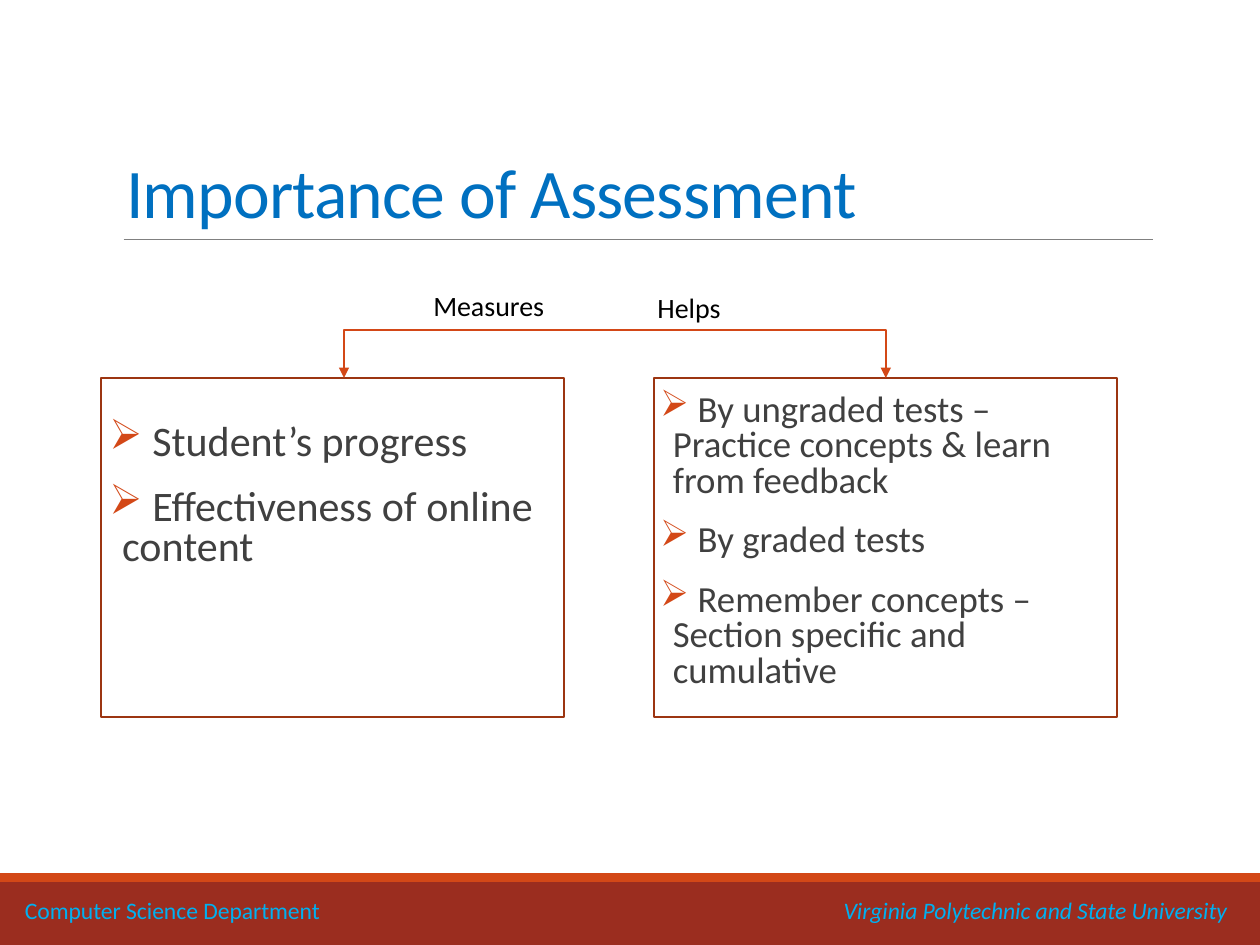
from lxml.etree import SubElement
from pptx import Presentation
from pptx.dml.color import RGBColor
from pptx.enum.shapes import MSO_CONNECTOR as Connector, MSO_SHAPE as Shape
from pptx.enum.text import MSO_ANCHOR as Anchor, MSO_AUTO_SIZE as AutoSize, PP_ALIGN as Align
from pptx.oxml.ns import qn
from pptx.util import Pt

COLORS = {
    "title": "0070C0", "body": "404040", "label": "000000", "footer": "00B0F0",
    "band": "9B2D1F", "accent": "D34817", "frame": "9C3511", "rule": "808080",
}
FRAME_TOP = 216
MEASURES = ["Student’s progress", "Effectiveness of online content"]
HELPS = [
    "By ungraded tests – Practice concepts & learn from feedback",
    "By graded tests",
    "Remember concepts – Section specific and cumulative",
]


def color(name):
    """Return the named palette colour."""
    return RGBColor.from_string(COLORS[name])


def apply(target, formats):
    """Set each attribute of the target from a dict of values."""
    for name, value in formats.items():
        setattr(target, name, value)


def add_run(paragraph, text, size, color_name, **formats):
    """Append a formatted run to a paragraph."""
    run = paragraph.add_run()
    run.text = text
    apply(run.font, {"name": "Calibri", "size": Pt(size), **formats})
    run.font.color.rgb = color(color_name)
    return run


def add_rectangle(slide, box, fill=None, line=None):
    """Draw a rectangle with an optional fill and outline."""
    shape = slide.shapes.add_shape(Shape.RECTANGLE, *map(Pt, box))
    shape.shadow.inherit = False
    if fill:
        shape.fill.solid()
        shape.fill.fore_color.rgb = color(fill)
    else:
        shape.fill.background()
    if line:
        shape.line.color.rgb = color(line)
        shape.line.width = Pt(1.25)
    else:
        shape.line.fill.background()


def add_line(slide, kind, points, color_name, width):
    """Draw a connector without a shadow."""
    connector = slide.shapes.add_connector(kind, *map(Pt, points))
    connector.line.color.rgb = color(color_name)
    connector.line.width = Pt(width)
    SubElement(connector._element.spPr, qn("a:effectLst"))
    return connector


def add_bent_arrow(slide, points):
    """Draw an arrow that runs sideways and then down."""
    connector = add_line(slide, Connector.ELBOW, points, "accent", 1)
    properties = connector._element.spPr
    properties.find(qn("a:prstGeom")).set("prst", "bentConnector2")
    SubElement(properties.find(qn("a:ln")), qn("a:tailEnd"), type="triangle")


def add_text_box(slide, box, wrap=True):
    """Add an empty text box and return its text frame."""
    frame = slide.shapes.add_textbox(*map(Pt, box)).text_frame
    frame.word_wrap = wrap
    return frame


def add_label(slide, box, text, wrap):
    """Add a short label above an arrow."""
    frame = add_text_box(slide, box, wrap)
    add_run(frame.paragraphs[0], text, 16, "label")


def add_bullets(slide, box, items, size):
    """Add a list with arrow bullets."""
    frame = add_text_box(slide, box)
    apply(frame, {"margin_left": 0, "margin_right": 0})
    for index, item in enumerate(items):
        paragraph = frame.add_paragraph() if index else frame.paragraphs[0]
        apply(paragraph, {"line_spacing": 0.8, "space_before": Pt(12 if index else 0),
                          "space_after": Pt(2)})
        properties = paragraph._p.get_or_add_pPr()
        apply_indent = {"marL": Pt(7.2), "indent": Pt(-7.2)}
        for name, value in apply_indent.items():
            properties.set(name, str(value))
        bullet_color = SubElement(properties, qn("a:buClr"))
        SubElement(bullet_color, qn("a:srgbClr"), val=COLORS["accent"])
        SubElement(properties, qn("a:buChar"), char="➢")
        add_run(paragraph, " " + item, size, "body")


def format_title(slide, text):
    """Place and format the title placeholder."""
    title = slide.shapes.title
    apply(title, {"left": Pt(64.8), "top": Pt(22.3), "width": Pt(594), "height": Pt(114.5)})
    frame = title.text_frame
    apply(frame, {"vertical_anchor": Anchor.BOTTOM, "auto_size": AutoSize.NONE, "word_wrap": True})
    paragraph = frame.paragraphs[0]
    apply(paragraph, {"alignment": Align.LEFT, "line_spacing": 0.85})
    run = add_run(paragraph, text, 39.8, "title")
    run._r.get_or_add_rPr().set("spc", "-50")


def add_footer(slide, left_text, right_text):
    """Write the footer with its second part at a right tab."""
    paragraph = add_text_box(slide, (7.2, 508.3, 709.9, 23.8)).paragraphs[0]
    tabs = SubElement(paragraph._p.get_or_add_pPr(), qn("a:tabLst"))
    SubElement(tabs, qn("a:tab"), pos=str(Pt(687)), algn="r")
    add_run(paragraph, left_text + "\t", 13.5, "footer")
    add_run(paragraph, right_text, 13.5, "footer", italic=True)


def main():
    """Build and save the slide."""
    presentation = Presentation()
    apply(presentation, {"slide_width": Pt(720), "slide_height": Pt(540)})
    slide = presentation.slides.add_slide(presentation.slide_layouts[5])
    add_rectangle(slide, (0, 504, 720, 36), fill="band")
    add_rectangle(slide, (0, 499, 720, 5), fill="accent")
    add_line(slide, Connector.STRAIGHT, (70.6, 136.8, 658.8, 136.8), "rule", 0.5)
    format_title(slide, "Importance of Assessment")
    for frame_left in (57.6, 373.7):
        add_rectangle(slide, (frame_left, FRAME_TOP, 264.5, 193.7), line="frame")
    add_bullets(slide, (62.6, 239, 254.9, 167), MEASURES, 24)
    add_bullets(slide, (377.3, 221.8, 254.9, 184.3), HELPS, 21)
    for arrow_x in (196.6, 506.2):
        add_bent_arrow(slide, (343.4, 188.4, arrow_x, FRAME_TOP))
    add_label(slide, (240.5, 161.3, 109.4, 26.6), "Measures", True)
    add_label(slide, (368.6, 162.7, 51.1, 26.6), "Helps", False)
    add_footer(slide, "Computer Science Department", "Virginia Polytechnic and State University")
    presentation.save("out.pptx")


if __name__ == "__main__":
    main()
